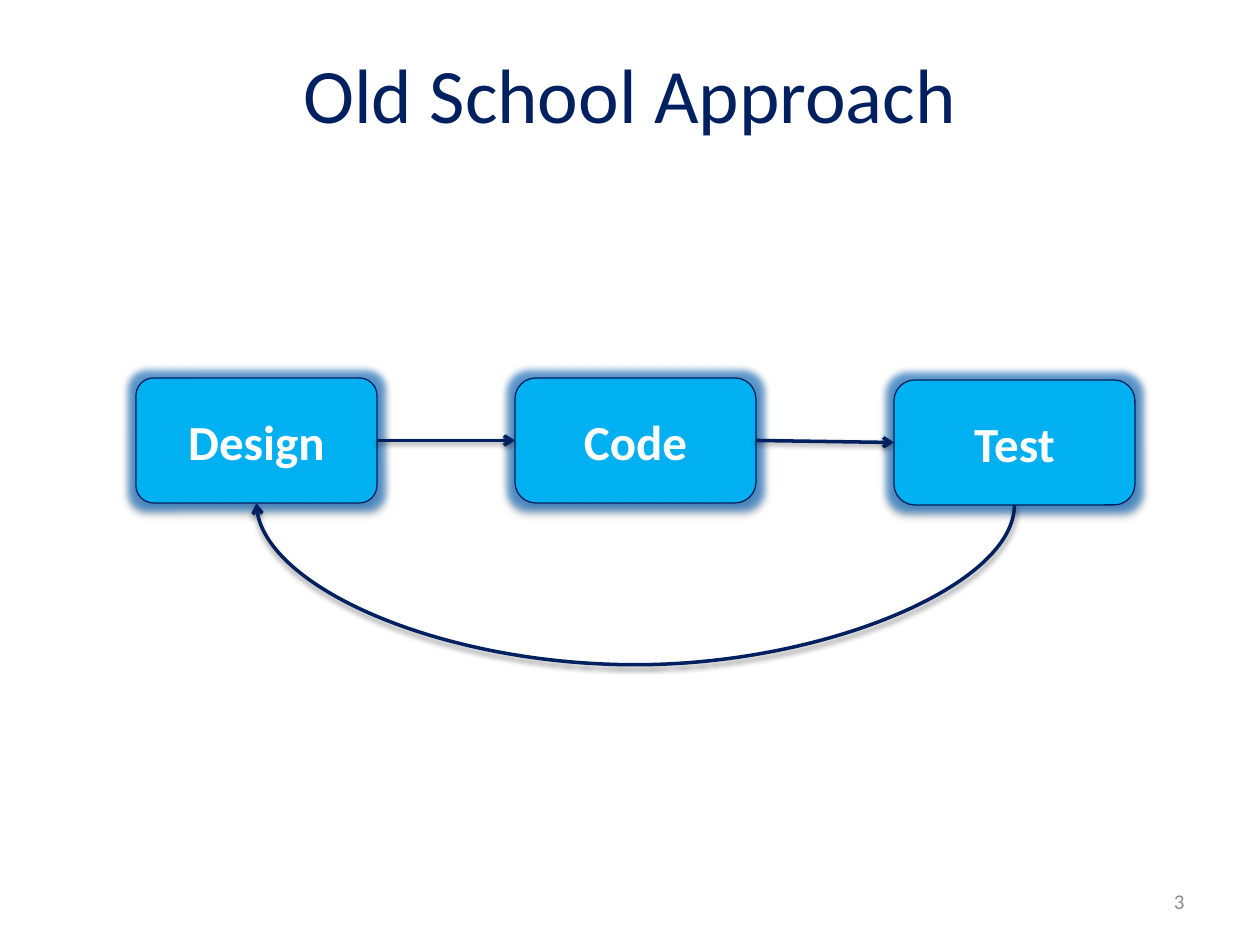
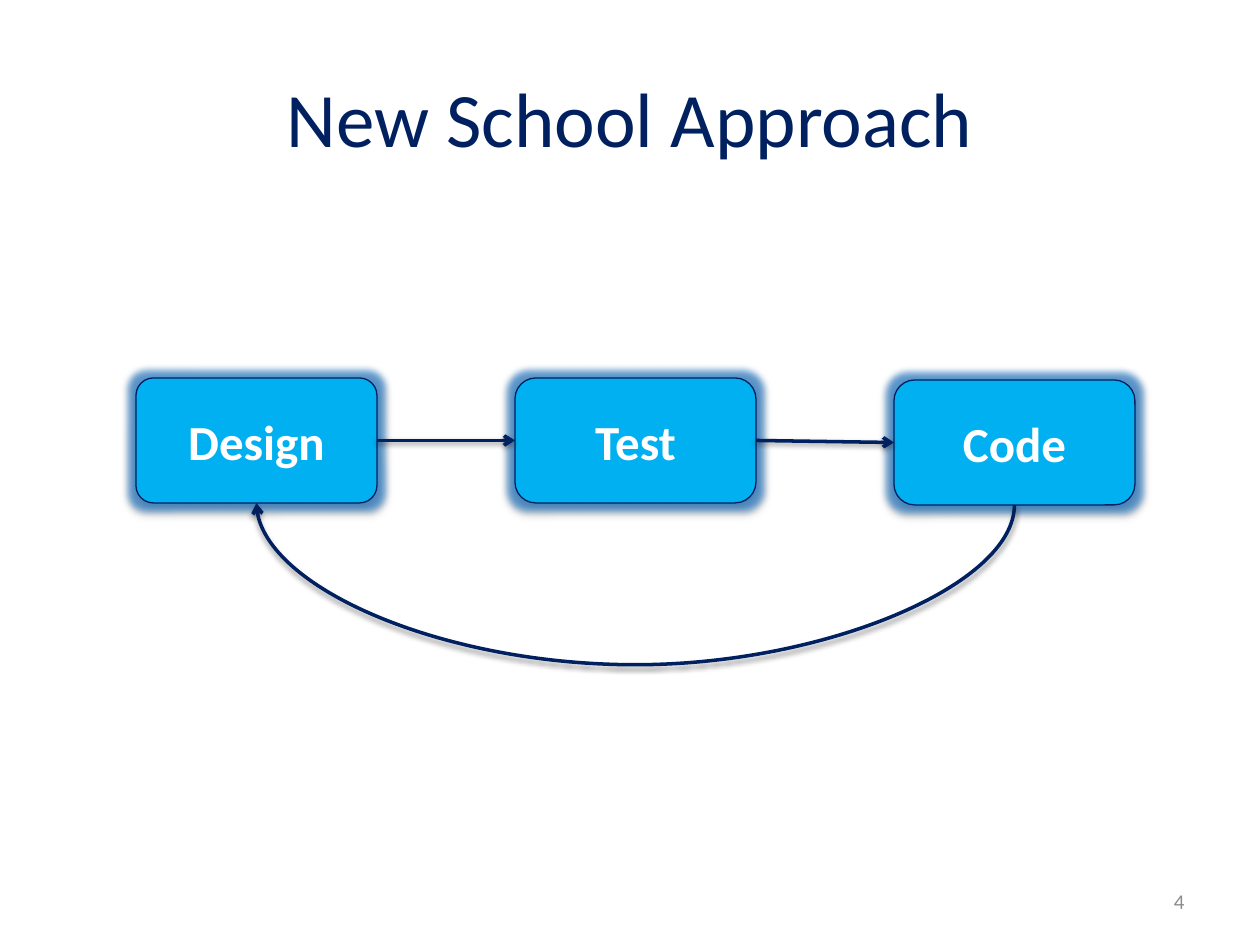
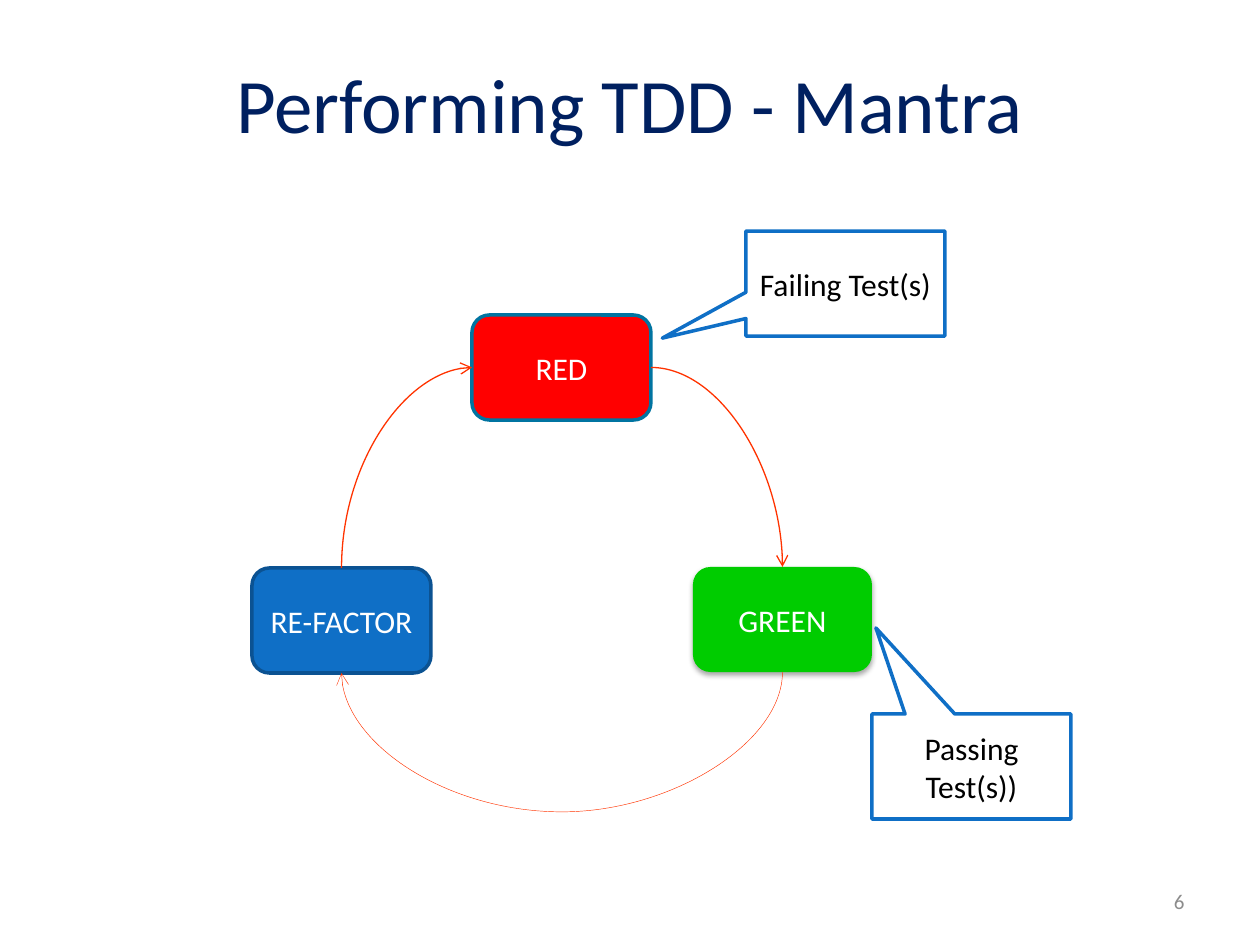
from pptx import Presentation
from pptx.dml.color import RGBColor
from pptx.enum.shapes import MSO_CONNECTOR as CONNECTOR, MSO_SHAPE as SHAPE
from pptx.enum.text import MSO_ANCHOR as ANCHOR, PP_ALIGN as ALIGN
from pptx.oxml import parse_xml
from pptx.oxml.ns import nsdecls, qn
from pptx.util import Pt

SCALE = 914400 / 126

NAVY = RGBColor(0x00, 0x20, 0x60)
SKY = RGBColor(0x00, 0xB0, 0xF0)
BLUE = RGBColor(0x0F, 0x6F, 0xC6)
DARK_BLUE = RGBColor(0x0B, 0x52, 0x92)
TEAL = RGBColor(0x00, 0x74, 0xA1)
RED = RGBColor(0xFF, 0x00, 0x00)
GREEN = RGBColor(0x00, 0xCC, 0x00)
ORANGE = RGBColor(0xFF, 0x33, 0x00)
GRAY = RGBColor(0x8C, 0x8C, 0x8C)
WHITE = RGBColor(0xFF, 0xFF, 0xFF)
BLACK = RGBColor(0x00, 0x00, 0x00)

TITLE_FONT = {"name": "Calibri", "size": Pt(44), "bold": False}
NUMBER_FONT = {"name": "Calibri", "size": Pt(12), "bold": False}
STEP_FONT = {"name": "Calibri", "size": Pt(28), "bold": True}
LABEL_FONT = {"name": "Calibri", "size": Pt(18), "bold": False}

GLOW = ('<a:glow %s rad="101600"><a:srgbClr val="0F6FC6">'
        '<a:alpha val="60000"/></a:srgbClr></a:glow>' % nsdecls("a"))
SHADOW = ('<a:outerShdw %s blurRad="40000" dist="%d" dir="5400000" rotWithShape="0">'
          '<a:srgbClr val="000000"><a:alpha val="%d"/></a:srgbClr></a:outerShdw>')
BOX_SHADOW = SHADOW % (nsdecls("a"), 23000, 35000)
LINE_SHADOW = SHADOW % (nsdecls("a"), 20000, 38000)

TOP, LEFT, BOTTOM, RIGHT = range(4)

FLOW_LINKS = [
    (0, RIGHT, 1, LEFT, "line", None, NAVY, 2, [LINE_SHADOW]),
    (1, RIGHT, 2, LEFT, "line", None, NAVY, 2, [LINE_SHADOW]),
    (2, BOTTOM, 0, BOTTOM, "curvedConnector3", -80.5, NAVY, 2, [LINE_SHADOW]),
]
MANTRA_LINKS = [
    (0, RIGHT, 1, TOP, "curvedConnector2", None, ORANGE, 0.75, []),
    (1, BOTTOM, 2, BOTTOM, "curvedConnector3", 141, ORANGE, 0.25, []),
    (2, TOP, 0, LEFT, "curvedConnector2", None, ORANGE, 0.75, []),
]
MANTRA_SHAPES = [
    ("RED", SHAPE.ROUNDED_RECTANGLE, (472, 315, 179, 105), None, RED, TEAL, 2, WHITE, LABEL_FONT, []),
    ("GREEN", SHAPE.ROUNDED_RECTANGLE, (693, 567, 179, 105), None, GREEN, None, 0, WHITE, LABEL_FONT, [BOX_SHADOW]),
    ("RE-FACTOR", SHAPE.ROUNDED_RECTANGLE, (252, 568, 179, 105), None, BLUE, DARK_BLUE, 2, WHITE, LABEL_FONT, []),
    ("Failing Test(s)", SHAPE.RECTANGULAR_CALLOUT, (746, 231, 199, 105), (-0.92, 0.52), WHITE, BLUE, 2, BLACK, LABEL_FONT, []),
    ("Passing Test(s))", SHAPE.RECTANGULAR_CALLOUT, (872, 714, 199, 105), (-0.48, -1.32), WHITE, BLUE, 2, BLACK, LABEL_FONT, []),
]

flows = []
for steps in (("Design", "Code", "Test"), ("Design", "Test", "Code")):
    flows.append([
        (step, SHAPE.ROUNDED_RECTANGLE, (136 + 379 * column, top, 241, 125), adjustments,
         SKY, NAVY, 0.75, WHITE, STEP_FONT, [GLOW, BOX_SHADOW])
        for column, (step, top, adjustments) in enumerate(
            zip(steps, (378, 378, 380), ((0.14,), None, None)))
    ])

SLIDES = [
    ("Old School Approach", 110, "3", flows[0], FLOW_LINKS),
    ("New School Approach", 158, "4", flows[1], FLOW_LINKS),
    ("Performing TDD - Mantra", 130, "6", MANTRA_SHAPES, MANTRA_LINKS),
]


def write_text(shape, text, font_values, color, alignment):
    frame = shape.text_frame
    frame.word_wrap = True
    frame.vertical_anchor = ANCHOR.MIDDLE
    paragraph = frame.paragraphs[0]
    paragraph.text = text
    paragraph.alignment = alignment
    font = paragraph.runs[0].font
    for attribute, value in font_values.items():
        setattr(font, attribute, value)
    font.color.rgb = color


def quarter_turn(connector):
    begin_x, begin_y = connector.begin_x, connector.begin_y
    end_x, end_y = connector.end_x, connector.end_y
    center_x, center_y = (begin_x + end_x) / 2, (begin_y + end_y) / 2
    turned = {
        "begin_x": center_x + begin_y - center_y,
        "begin_y": center_y - begin_x + center_x,
        "end_x": center_x + end_y - center_y,
        "end_y": center_y - end_x + center_x,
    }
    for attribute, value in turned.items():
        setattr(connector, attribute, int(value))
    connector._element.spPr.find(qn("a:xfrm")).set("rot", "5400000")


presentation = Presentation()
presentation.slide_width = int(1260 * SCALE)
presentation.slide_height = int(945 * SCALE)

for title_text, title_height, number, shape_rows, links in SLIDES:
    slide = presentation.slides.add_slide(presentation.slide_layouts[5])
    title = slide.shapes.title
    title_place = {"left": 63, "top": 38, "width": 1134, "height": title_height}
    for attribute, value in title_place.items():
        setattr(title, attribute, int(value * SCALE))
    write_text(title, title_text, TITLE_FONT, NAVY, ALIGN.CENTER)

    number_box = slide.shapes.add_textbox(*[int(value * SCALE) for value in (903, 876, 294, 50)])
    write_text(number_box, number, NUMBER_FONT, GRAY, ALIGN.RIGHT)

    shapes = []
    for text, kind, place, adjustments, fill, outline, weight, color, font_values, effects in shape_rows:
        shape = slide.shapes.add_shape(kind, *[int(value * SCALE) for value in place])
        for index, value in enumerate(adjustments or ()):
            shape.adjustments[index] = value
        shape.fill.solid()
        shape.fill.fore_color.rgb = fill
        if outline is None:
            shape.line.fill.background()
        else:
            shape.line.color.rgb = outline
            shape.line.width = Pt(weight)
        shape.shadow.inherit = False
        effect_list = shape._element.spPr.find(qn("a:effectLst"))
        for effect in effects:
            effect_list.append(parse_xml(effect))
        write_text(shape, text, font_values, color, ALIGN.CENTER)
        shapes.append(shape)

    for source, source_site, target, target_site, preset, bend, color, weight, effects in links:
        kind = CONNECTOR.STRAIGHT if preset == "line" else CONNECTOR.CURVE
        connector = slide.shapes.add_connector(kind, 0, 0, 0, 0)
        connector.begin_connect(shapes[source], source_site)
        connector.end_connect(shapes[target], target_site)
        if source_site != RIGHT:
            quarter_turn(connector)
        properties = connector._element.spPr
        geometry = properties.find(qn("a:prstGeom"))
        geometry.set("prst", preset)
        if bend is not None:
            for guides in geometry.findall(qn("a:avLst")):
                geometry.remove(guides)
            geometry.append(parse_xml(
                '<a:avLst %s><a:gd name="adj1" fmla="val %d"/></a:avLst>'
                % (nsdecls("a"), bend * 100000)))
        connector.line.color.rgb = color
        connector.line.width = Pt(weight)
        properties.find(qn("a:ln")).append(parse_xml('<a:tailEnd %s type="arrow"/>' % nsdecls("a")))
        effect_list = parse_xml("<a:effectLst %s/>" % nsdecls("a"))
        for effect in effects:
            effect_list.append(parse_xml(effect))
        properties.append(effect_list)

presentation.save("out.pptx")
